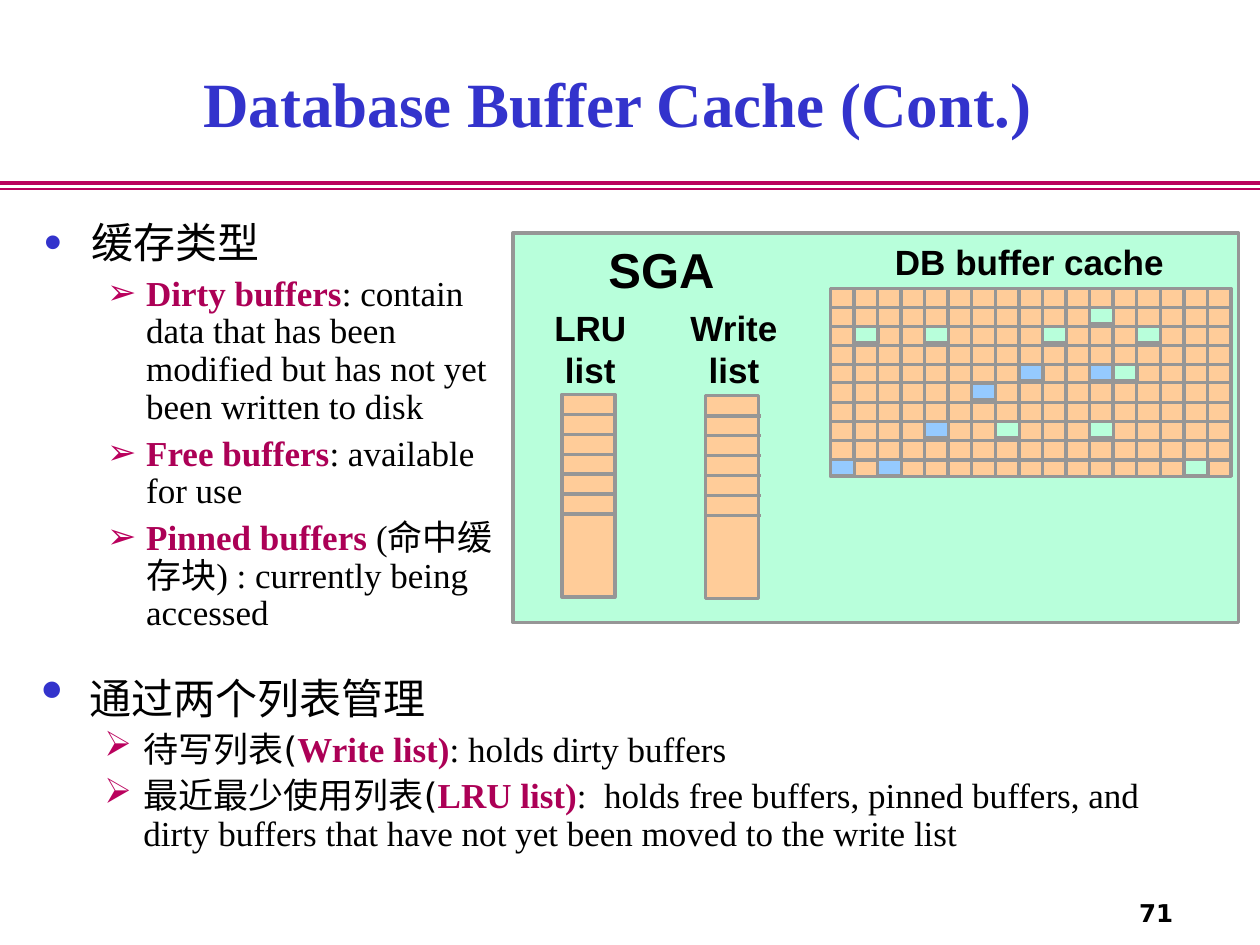
from lxml.etree import SubElement
from pptx import Presentation
from pptx.dml.color import RGBColor
from pptx.enum.shapes import MSO_CONNECTOR as Connector, MSO_SHAPE as Shape
from pptx.enum.text import MSO_ANCHOR as Anchor, MSO_AUTO_SIZE as AutoSize, PP_ALIGN as Align
from pptx.oxml.ns import qn
from pptx.util import Inches, Pt

COLORS = {
    "title": "3333CC", "rule": "BA005D", "term": "AC0056", "text": "000000",
    "border": "969696", "panel": "B8FFDB", "block": "FFCC99", "used": "95CAFF",
}
SERIF, SANS, CJK = "Times New Roman", "Arial", "DejaVu Sans"

# Lists: (level, [(text, font, is_term), ...])
BUFFER_TYPES = [
    (0, [("缓存类型", SERIF, False)]),
    (1, [("Dirty buffers", SERIF, True),
         (": contain data that has been modified but has not yet been written to disk", SERIF, False)]),
    (1, [("Free buffers", SERIF, True), (": available for use", SERIF, False)]),
    (1, [("Pinned buffers", SERIF, True),
         (" (命中缓存块) : currently being accessed", SERIF, False)]),
]
MANAGEMENT = [
    (0, [("通过两个列表管理", CJK, False)]),
    (1, [("待写列表(", CJK, False), ("Write list)", SERIF, True),
         (": holds dirty buffers", SERIF, False)]),
    (1, [("最近最少使用列表(", CJK, False), ("LRU list)", SERIF, True),
         (":  holds free buffers, pinned buffers, and dirty buffers that have not yet "
          "been moved to the write list", SERIF, False)]),
]

# Cache grid and its marked cells as (column, row)
COLS, ROWS = 17, 10
GRID_X, GRID_Y, GRID_W, GRID_H = 6.59, 2.29, 3.18, 1.49
COL_W, ROW_H = GRID_W / COLS, 0.151
MARKED_CELLS = {
    "used": [(0, 9), (2, 9), (4, 7), (6, 5), (8, 4), (11, 4)],
    "panel": [(12, 4), (13, 2), (11, 1), (9, 2), (15, 9), (1, 2), (4, 2), (7, 7), (11, 7)],
}


def rgb(name):
    return RGBColor.from_string(COLORS[name])


def add_run(p, text, size=20, font=SERIF, color="text", bold=False):
    r = p.add_run()
    r.text = text
    r.font.size = Pt(size)
    r.font.name = font
    r.font.bold = bold
    r.font.color.rgb = rgb(color)


def set_bullet(p, char, color, percent, margin, hanging):
    pPr = p._p.get_or_add_pPr()
    pPr.set("marL", str(Inches(margin)))
    pPr.set("indent", str(-Inches(hanging)))
    SubElement(SubElement(pPr, qn("a:buClr")), qn("a:srgbClr")).set("val", COLORS[color])
    SubElement(pPr, qn("a:buSzPct")).set("val", str(percent * 1000))
    SubElement(pPr, qn("a:buChar")).set("char", char)


class SlideBuilder:
    def __init__(self, slide):
        self.slide = slide

    def place(self, sp, x, y, w, h):
        sp.left, sp.top, sp.width, sp.height = map(Inches, (x, y, w, h))
        tf = sp.text_frame
        tf.word_wrap = True
        tf.auto_size = AutoSize.NONE
        tf.vertical_anchor = Anchor.TOP
        return tf

    def title(self, text, *box):
        p = self.place(self.slide.shapes.title, *box).paragraphs[0]
        p.alignment = Align.CENTER
        add_run(p, text, size=36, color="title", bold=True)

    def label(self, text, *box, size=20, font=SANS, align=Align.CENTER):
        tf = self.place(self.slide.shapes.add_textbox(0, 0, 0, 0), *box)
        p = tf.paragraphs[0]
        p.alignment = align
        add_run(p, text, size=size, font=font, bold=True)
        return tf

    def bullets(self, sp, items, *box, dot_percent):
        tf = self.place(sp, *box)
        for i, (level, parts) in enumerate(items):
            p = tf.paragraphs[0] if i == 0 else tf.add_paragraph()
            p.level = level
            p.line_spacing = 0.9
            p.space_before = Pt(5 if i else 0)
            if level == 0:
                set_bullet(p, "•", "title", dot_percent, 0.38, 0.38)
            else:
                set_bullet(p, "➢", "rule", 100, 0.81, 0.31)
            for text, font, is_term in parts:
                add_run(p, text, size=20 if level else 24, font=font,
                        color="term" if is_term else "text", bold=is_term)

    def rect(self, fill, *box):
        sp = self.slide.shapes.add_shape(Shape.RECTANGLE, *map(Inches, box))
        sp.shadow.inherit = False
        sp.fill.solid()
        sp.fill.fore_color.rgb = rgb(fill)
        sp.line.color.rgb = rgb("border")
        sp.line.width = Pt(2)
        return sp

    def line(self, *ends, color="border", width=2):
        s = self.slide.shapes.add_connector(Connector.STRAIGHT, *map(Inches, ends))
        s.line.color.rgb = rgb(color)
        s.line.width = Pt(width)
        SubElement(s._element.spPr, qn("a:effectLst"))
        return s

    def buffer_list(self, text, x, y):
        """Draw a labelled column with six slots above an open remainder."""
        self.rect("block", x, y, 0.42, 1.61)
        for i in range(6):
            slot_y = y + 0.16 + i * 0.158
            self.line(x - 0.01, slot_y, x + 0.44, slot_y)
        self.label(text, x - 0.36, 2.38, 1.17, 0.77)

    def cache_grid(self):
        grid = self.rect("block", GRID_X, GRID_Y, GRID_W, GRID_H)
        for row in range(1, ROWS):
            y = GRID_Y + row * ROW_H
            s = self.line(GRID_X, y, GRID_X + GRID_W, y)
            if row == ROWS // 2:
                s.begin_connect(grid, 1)
                s.end_connect(grid, 3)
        for col in range(1, COLS):
            x = GRID_X + col * COL_W
            self.line(x, GRID_Y - 0.01, x, GRID_Y + GRID_H + 0.01)
        for fill, cells in MARKED_CELLS.items():
            for col, row in cells:
                self.rect(fill, GRID_X + col * COL_W, GRID_Y + row * ROW_H, 0.19, 0.13)


def main():
    prs = Presentation()
    prs.slide_width, prs.slide_height = Inches(10), Inches(7.5)
    slide = prs.slides.add_slide(prs.slide_layouts[1])
    b = SlideBuilder(slide)

    b.line(0, 1.45, 10, 1.45, color="rule", width=2.25)
    b.line(0, 1.5, 10, 1.5, color="rule", width=1)
    b.title("Database Buffer Cache (Cont.)", 0.65, 0.46, 8.5, 1.25)
    b.bullets(slide.placeholders[1], BUFFER_TYPES, 0.25, 1.71, 3.82, 3.45, dot_percent=120)

    b.rect("panel", 4.07, 1.85, 5.76, 3.09)
    b.label("SGA", 4.67, 1.85, 1.16, 0.57, size=28)
    b.label("DB buffer cache", 6.56, 1.86, 3.22, 0.43)
    b.buffer_list("Write list", 5.6, 3.14)
    b.buffer_list("LRU list", 4.46, 3.13)
    b.cache_grid()

    b.bullets(slide.shapes.add_textbox(0, 0, 0, 0), MANAGEMENT,
              0.23, 5.33, 9.02, 1.54, dot_percent=150)
    number = b.label("71", 8.83, 7.08, 0.58, 0.33, size=14, font=CJK, align=Align.RIGHT)
    number.word_wrap = False
    number.vertical_anchor = Anchor.MIDDLE

    prs.save("out.pptx")


if __name__ == "__main__":
    main()
